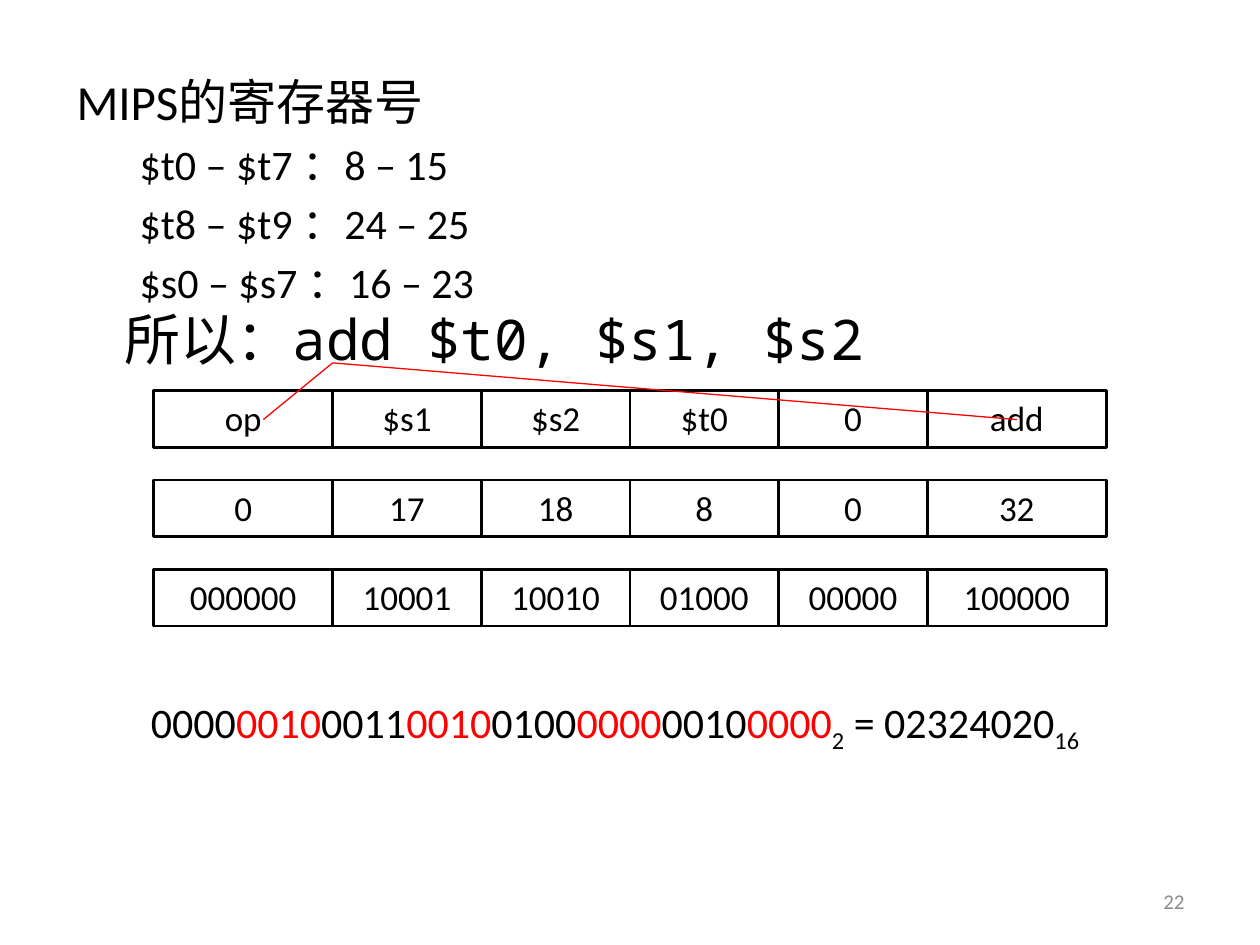
import pptx
import pptx.dml.color
import pptx.enum.shapes
import pptx.enum.text
import pptx.oxml.ns
import pptx.util
from lxml import etree

Inches = pptx.util.Inches
Pt = pptx.util.Pt
Align = pptx.enum.text.PP_ALIGN
Anchor = pptx.enum.text.MSO_ANCHOR
BLACK = pptx.dml.color.RGBColor(0x00, 0x00, 0x00)
RED = pptx.dml.color.RGBColor(0xFF, 0x00, 0x00)
GRAY = pptx.dml.color.RGBColor(0x8C, 0x8C, 0x8C)

FIELD_WIDTHS = [1.42, 1.18, 1.18, 1.18, 1.18, 1.42]
INSTRUCTION_ROWS = [
    ["op", "$s1", "$s2", "$t0", "0", "add"],
    ["0", "17", "18", "8", "0", "32"],
    ["000000", "10001", "10010", "01000", "00000", "100000"],
]
ROW_LEFT, ROW_TOP, ROW_STEP, ROW_HEIGHT = 1.22, 3.1, 0.71, 0.45
REGISTERS = ["$t0 – $t7 ：8 – 15", "$t8 – $t9 ：24 – 25", "$s0 – $s7 ：16 – 23"]
NIBBLES = ["0000", "0010", "0011", "0010", "0100", "0000", "0010", "0000"]


class SlideBuilder:
    font = "Calibri"
    code_font = "Noto Sans Mono"

    def __init__(self, page):
        self.page = page

    def style(self, span, size, color=BLACK, font=None, baseline=0):
        span.font.name = font or self.font
        span.font.size = Pt(size)
        span.font.color.rgb = color
        if baseline:
            span.font._element.set("baseline", str(baseline * 1000))

    def text(self, left, top, width, height, lines, color=BLACK, font=None,
             align=Align.LEFT, anchor=Anchor.TOP):
        box = self.page.shapes.add_textbox(
            Inches(left), Inches(top), Inches(width), Inches(height))
        frame = box.text_frame
        frame.word_wrap = True
        frame.vertical_anchor = anchor
        frame.text = "\n".join(content for content, size, indent in lines)
        for index, (para, line) in enumerate(zip(frame.paragraphs, lines)):
            content, size, indent = line
            para.alignment = align
            para._p.get_or_add_pPr().set("marL", str(Inches(indent)))
            if index:
                para.space_before = Pt(size * 0.2)
            self.style(para.runs[0], size, color, font)

    def spans(self, left, top, width, height, size, parts):
        box = self.page.shapes.add_textbox(
            Inches(left), Inches(top), Inches(width), Inches(height))
        box.text_frame.word_wrap = True
        para = box.text_frame.paragraphs[0]
        for content, color, baseline in parts:
            span = para.add_run()
            span.text = content
            self.style(span, size, color, baseline=baseline)

    def field(self, left, top, width, content):
        box = self.page.shapes.add_shape(
            pptx.enum.shapes.MSO_SHAPE.RECTANGLE,
            Inches(left), Inches(top), Inches(width), Inches(ROW_HEIGHT))
        box.shadow.inherit = False
        box.fill.background()
        box.line.color.rgb = BLACK
        box.line.width = Pt(1.5)
        frame = box.text_frame
        frame.auto_size = pptx.enum.text.MSO_AUTO_SIZE.SHAPE_TO_FIT_TEXT
        frame.vertical_anchor = Anchor.TOP
        frame.text = content
        frame.paragraphs[0].alignment = Align.CENTER
        self.style(frame.paragraphs[0].runs[0], 20)

    def field_row(self, top, contents):
        left = ROW_LEFT
        for width, content in zip(FIELD_WIDTHS, contents):
            self.field(left, top, width, content)
            left += width

    def line(self, start, end):
        connector = self.page.shapes.add_connector(
            pptx.enum.shapes.MSO_CONNECTOR.STRAIGHT,
            *(Inches(value) for value in start + end))
        connector.line.color.rgb = RED
        connector.line.width = Pt(0.75)
        etree.SubElement(connector._element.spPr, pptx.oxml.ns.qn("a:effectLst"))


def main():
    deck = pptx.Presentation()
    deck.slide_width = Inches(10)
    deck.slide_height = Inches(7.5)
    builder = SlideBuilder(deck.slides.add_slide(deck.slide_layouts[6]))

    builder.text(0.51, 0.52, 9, 1.97,
                 [("MIPS的寄存器号", 28, 0)] + [(entry, 24, 0.5) for entry in REGISTERS])
    builder.text(0.51, 2.37, 9.05, 0.71, [("所以：add $t0, $s1, $s2", 32, 0.38)],
                 font=builder.code_font)

    for index, contents in enumerate(INSTRUCTION_ROWS):
        builder.field_row(ROW_TOP + index * ROW_STEP, contents)

    parts = [(nibble, RED if index % 2 else BLACK, 0)
             for index, nibble in enumerate(NIBBLES)]
    parts += [("2", BLACK, -25), (" = 02324020", BLACK, 0), ("16", BLACK, -25)]
    builder.spans(1.1, 5.48, 8.9, 0.55, 24, parts)

    builder.text(7.17, 6.95, 2.33, 0.4, [("22", 12, 0)], color=GRAY,
                 align=Align.RIGHT, anchor=Anchor.MIDDLE)
    for target in [(2.09, 3.33), (8.07, 3.33)]:
        builder.line((2.64, 2.88), target)

    deck.save("out.pptx")


if __name__ == "__main__":
    main()
